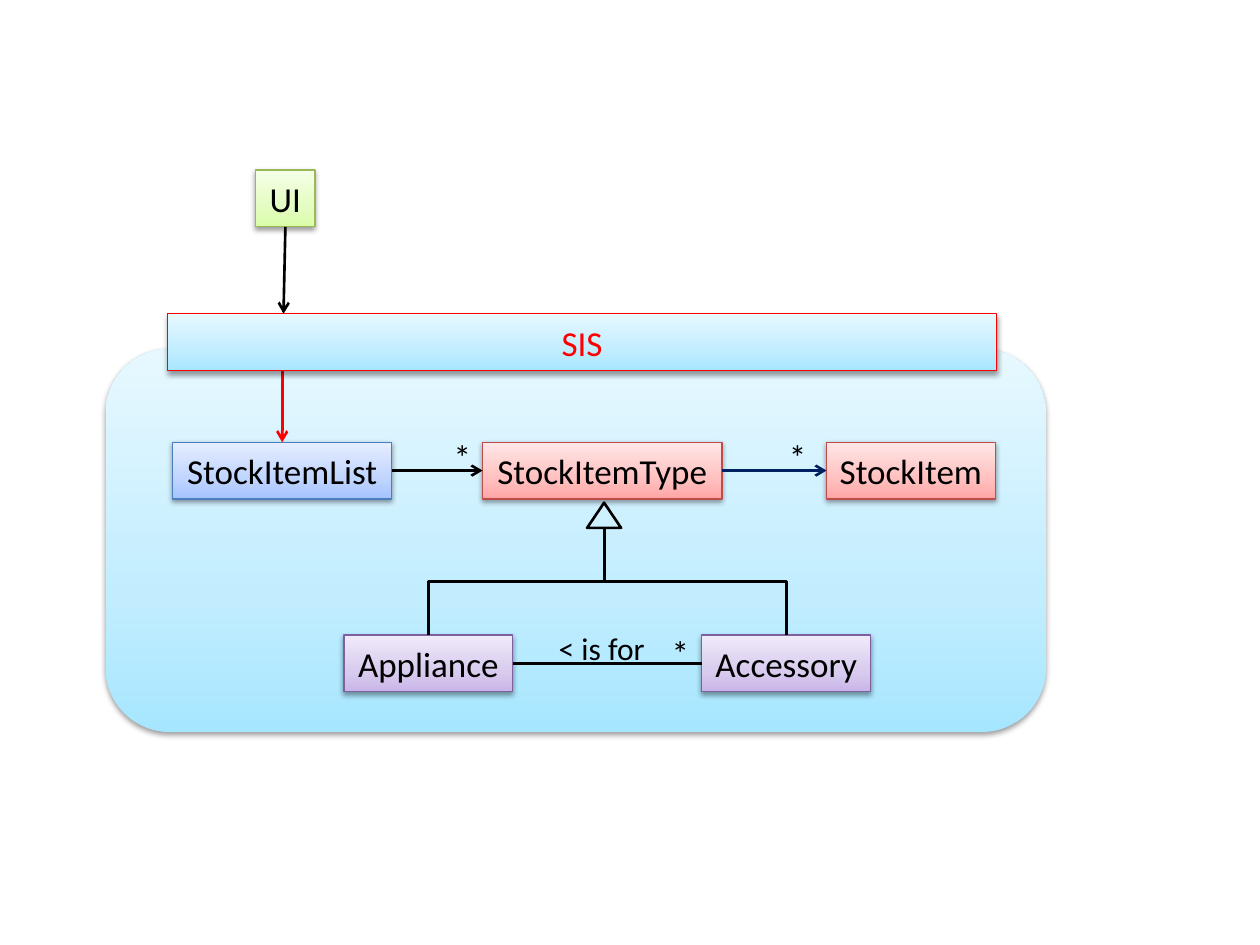
from copy import deepcopy
from dataclasses import dataclass

from lxml.etree import SubElement
from pptx import Presentation
from pptx.dml.color import RGBColor
from pptx.enum.shapes import MSO_CONNECTOR as Link, MSO_SHAPE as Shape
from pptx.enum.text import MSO_ANCHOR, MSO_AUTO_SIZE, PP_ALIGN
from pptx.oxml.ns import qn
from pptx.util import Inches, Pt

TOP, LEFT, BOTTOM, RIGHT = range(4)


@dataclass(frozen=True)
class Theme:
    font: str = "Calibri"
    body: int = 20
    label: int = 18
    thin: float = 0.75
    thick: float = 1.5
    black: str = "000000"
    red: str = "FF0000"
    navy: str = "002060"
    # Gradients run from the bottom edge to the top edge
    stops: tuple = (0, 0.35, 1)
    aqua: tuple = ("A7E6FF", "C1EDFF", "E7F8FF")
    green: tuple = ("DAFDA7", "E4FCC2", "F5FFE7")
    rose: tuple = ("FFA6A5", "FFC0BF", "FFE7E7")
    violet: tuple = ("C9B5E8", "D8CBEE", "F0EAF9")
    blue: tuple = ("A4C4FF", "BFD4FF", "E6EEFF")
    green_edge: str = "98B955"
    rose_edge: str = "BF4C48"
    violet_edge: str = "7D60A0"
    blue_edge: str = "4B7EBC"


THEME = Theme()


def rgb(value):
    return RGBColor.from_string(value)


def inches(*lengths):
    return [Inches(length) for length in lengths]


def fill_gradient(shape, colors):
    shape.fill.gradient()
    shape.fill.gradient_angle = 90
    stop_list = shape.element.spPr.find(".//" + qn("a:gsLst"))
    stop_list.insert(1, deepcopy(stop_list[0]))
    for stop, position, color in zip(shape.fill.gradient_stops, THEME.stops, colors):
        stop.position = position
        stop.color.rgb = rgb(color)


def cast_shadow(shape):
    shape.shadow.inherit = False
    effects = shape.element.spPr.find(qn("a:effectLst"))
    shadow = SubElement(effects, qn("a:outerShdw"), blurRad=str(Pt(3.1)),
                        dist=str(Pt(1.6)), dir="5400000", rotWithShape="0")
    color = SubElement(shadow, qn("a:srgbClr"), val=THEME.black)
    SubElement(color, qn("a:alpha"), val="38000")


def write(shape, text, color=THEME.black, size=THEME.body, wrap=False, grow=True):
    frame = shape.text_frame
    frame.word_wrap = wrap
    frame.auto_size = MSO_AUTO_SIZE.SHAPE_TO_FIT_TEXT if grow else MSO_AUTO_SIZE.NONE
    frame.vertical_anchor = MSO_ANCHOR.MIDDLE
    frame.text = text
    paragraph = frame.paragraphs[0]
    paragraph.alignment = PP_ALIGN.CENTER
    font = paragraph.runs[0].font
    font.name, font.size, font.color.rgb = THEME.font, Pt(size), rgb(color)


def add_block(slide, box, colors, edge=None, kind=Shape.RECTANGLE):
    block = slide.shapes.add_shape(kind, *inches(*box))
    fill_gradient(block, colors)
    if edge:
        block.line.color.rgb = rgb(edge)
        block.line.width = Pt(THEME.thin)
    else:
        block.line.fill.background()
    cast_shadow(block)
    return block


def add_class(slide, name, box, colors, edge):
    block = add_block(slide, box, colors, edge)
    write(block, name)
    return block


def add_label(slide, text, box, **style):
    write(slide.shapes.add_textbox(*inches(*box)), text, **style)


def add_many_mark(slide, left, top):
    add_label(slide, "*", (left, top, 0.34, 0.43), wrap=True)


def add_link(slide, start=(0, 0), end=(0, 0), source=None, target=None,
             color=THEME.black, arrow=False, kind=Link.STRAIGHT):
    """Draw a line between points; source and target are (shape, side) joints."""
    link = slide.shapes.add_connector(kind, *inches(*start, *end))
    if source:
        link.begin_connect(*source)
    if target:
        link.end_connect(*target)
    link.line.color.rgb = rgb(color)
    link.line.width = Pt(THEME.thick)
    properties = link.element.spPr
    if arrow:
        SubElement(properties.find(qn("a:ln")), qn("a:tailEnd"), type="arrow")
    SubElement(properties, qn("a:effectLst"))
    return link


def add_branch(slide, start, end):
    """Draw a vertical-horizontal-vertical elbow as a turned connector."""
    center_x, center_y = (start[0] + end[0]) / 2, (start[1] + end[1]) / 2
    half_span, half_drop = abs(end[0] - start[0]) / 2, (end[1] - start[1]) / 2
    side = 1 if end[0] < start[0] else -1
    link = add_link(slide,
                    (center_x - side * half_drop, center_y - half_span),
                    (center_x + side * half_drop, center_y + half_span),
                    kind=Link.ELBOW)
    turn = 90 if side == 1 else 270
    link.element.spPr.find(qn("a:xfrm")).set("rot", str(turn * 60000))


def add_facade(slide, box):
    facade = add_block(slide, box, THEME.aqua, THEME.red)
    write(facade, "SIS", THEME.red, grow=False)


def add_ui(slide, box, facade_box):
    ui = add_class(slide, "UI", box, THEME.green, THEME.green_edge)
    add_link(slide, end=(facade_box[0] + 0.92, facade_box[1]),
             source=(ui, BOTTOM), arrow=True)


def add_stock_row(slide, box, facade_bottom):
    left, top, width, height = box
    stock_list = add_class(slide, "StockItemList", (left, top, 1.74, height),
                           THEME.blue, THEME.blue_edge)
    item_type = add_class(slide, "StockItemType", (left + 2.46, top, 1.9, height),
                          THEME.rose, THEME.rose_edge)
    item = add_class(slide, "StockItem", (left + width - 1.34, top, 1.34, height),
                     THEME.rose, THEME.rose_edge)
    add_link(slide, (left + 0.87, facade_bottom), target=(stock_list, TOP),
             color=THEME.red, arrow=True)
    add_link(slide, source=(stock_list, RIGHT), target=(item_type, LEFT), arrow=True)
    add_link(slide, source=(item_type, RIGHT), target=(item, LEFT),
             color=THEME.navy, arrow=True)
    for offset in (2.13, 4.79):
        add_many_mark(slide, left + offset, top - 0.1)


def add_subtypes(slide, box):
    left, top, width, height = box
    row_height = 0.45
    row_top = top + height - row_height
    appliance, accessory = [
        add_class(slide, name, (x, row_top, 1.34, row_height),
                  THEME.violet, THEME.violet_edge)
        for name, x in (("Appliance", left), ("Accessory", left + width - 1.34))]

    apex_x, arrow_height = left + 2.07, 0.2
    triangle = slide.shapes.add_shape(
        Shape.ISOSCELES_TRIANGLE, *inches(apex_x - 0.14, top, 0.27, arrow_height))
    triangle.fill.background()
    triangle.line.color.rgb = rgb(THEME.black)
    triangle.line.width = Pt(THEME.thick)
    triangle.shadow.inherit = False
    for subtype_x in (left + 0.67, left + width - 0.67):
        add_branch(slide, (apex_x, top + arrow_height), (subtype_x, row_top))

    add_link(slide, source=(appliance, RIGHT), target=(accessory, LEFT))
    add_label(slide, "< is for", (left + 1.6, row_top - 0.1, 0.89, 0.4),
              size=THEME.label)
    add_many_mark(slide, left + 2.5, row_top - 0.08)


def add_system(slide, box):
    left, top, _, _ = box
    add_block(slide, box, THEME.aqua, kind=Shape.ROUNDED_RECTANGLE)
    facade_box = (left + 0.49, top - 0.28, 6.58, 0.45)
    add_stock_row(slide, (left + 0.53, top + 0.74, 6.53, 0.45), top + 0.17)
    add_subtypes(slide, (left + 1.89, top + 1.22, 4.18, 1.5))
    add_facade(slide, facade_box)
    add_ui(slide, (left + 1.19, top - 1.42, 0.47, 0.45), facade_box)


def main():
    deck = Presentation()
    deck.slide_width, deck.slide_height = inches(10, 7.5)
    slide = deck.slides.add_slide(deck.slide_layouts[6])
    add_system(slide, (0.84, 2.77, 7.46, 3.04))
    deck.save("out.pptx")


if __name__ == "__main__":
    main()
